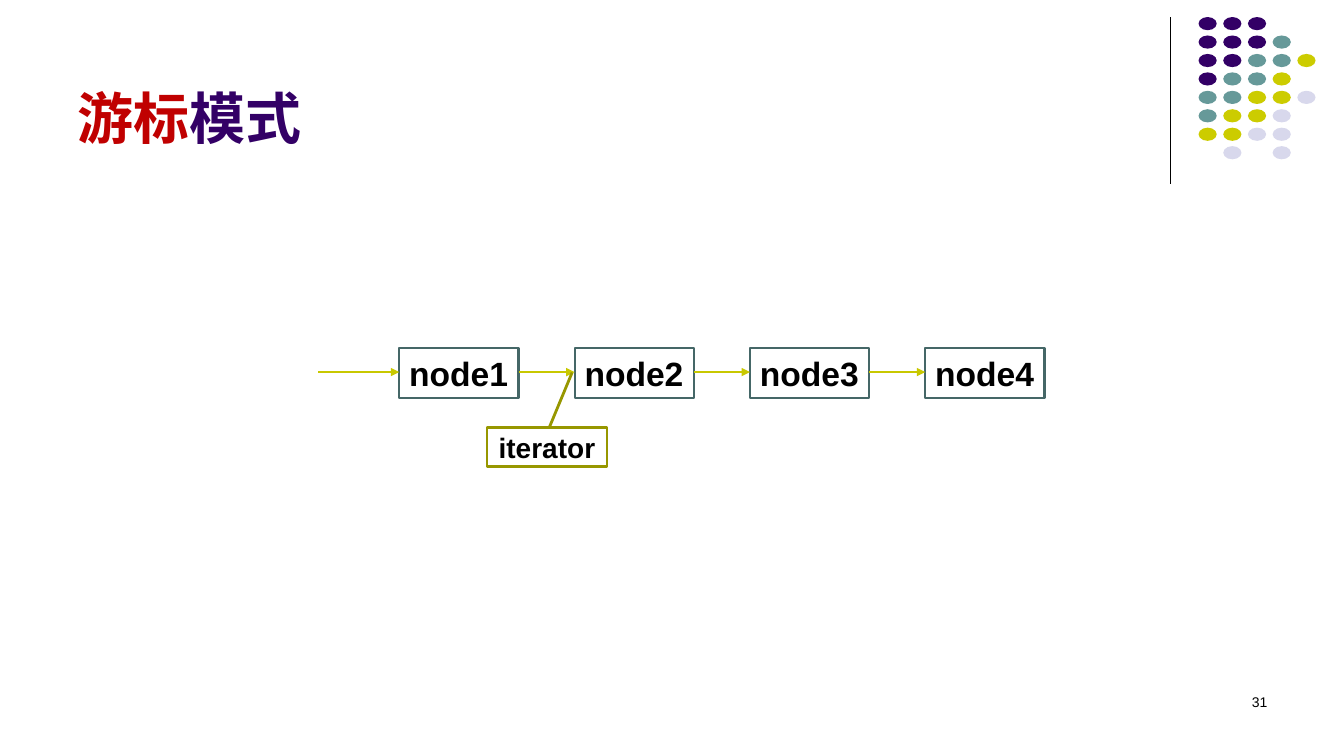
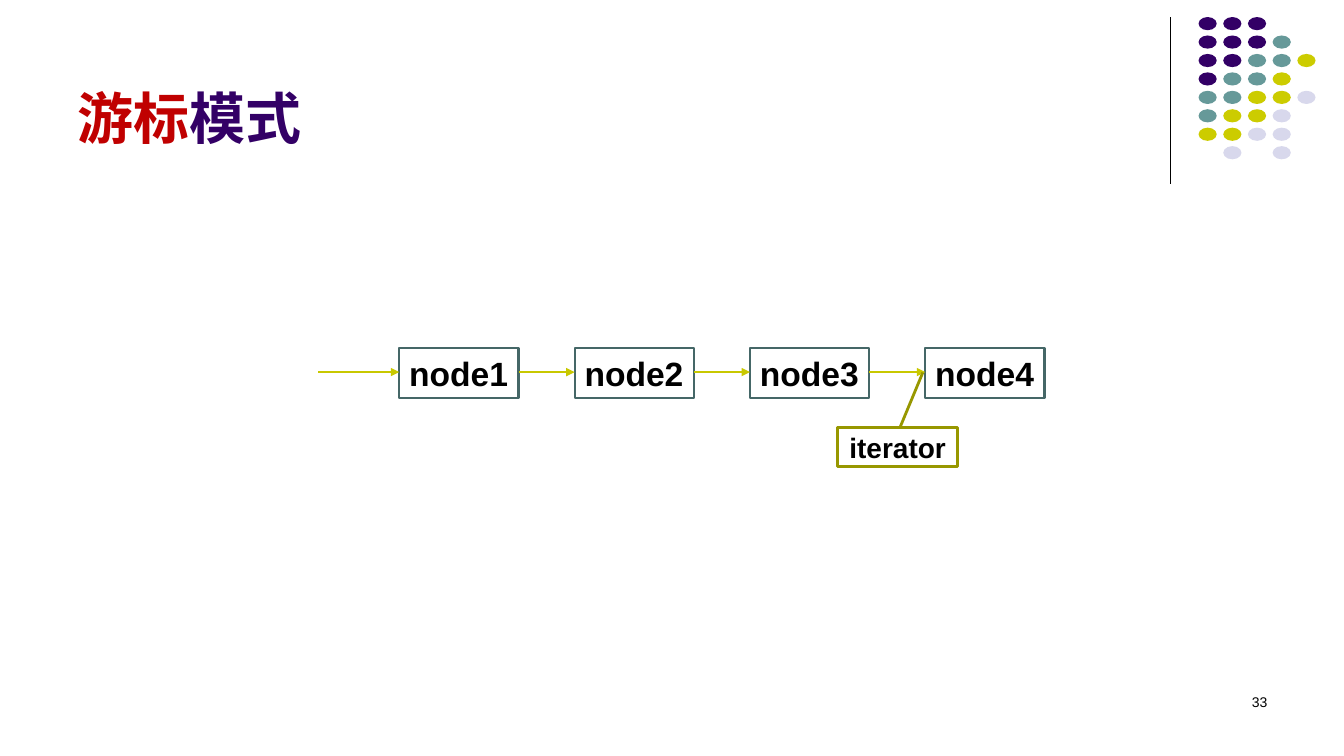
import pptx
import pptx.util
import pptx.dml.color
import pptx.enum.shapes
import pptx.enum.text
import pptx.oxml
import pptx.oxml.ns

Pt = pptx.util.Pt
SHAPE = pptx.enum.shapes.MSO_SHAPE
STRAIGHT = pptx.enum.shapes.MSO_CONNECTOR.STRAIGHT
ANCHOR = pptx.enum.text.MSO_ANCHOR
ALIGN = pptx.enum.text.PP_ALIGN

HEX = {"purple": "330066", "teal": "669999", "lime": "CCCC00", "lilac": "D8D8EC",
       "red": "C00000", "black": "000000", "node": "456767", "arrow": "C8C800",
       "callout": "979700"}
COLOR = {name: pptx.dml.color.RGBColor.from_string(h) for name, h in HEX.items()}

DOT_COLORS = {"P": "purple", "T": "teal", "L": "lime", "W": "lilac"}
DOT_ROWS = ["PPP", "PPPT", "PPTTL", "PTTL", "TTLLW", "TLLW", "LLWW", " W W"]

NODES = ["node1", "node2", "node3", "node4"]
NODE_LEFT, NODE_TOP, NODE_W, NODE_H = 285.2, 248.4, 85.2, 36
NODE_PITCH = 125.25
ARROW_Y = 265.8
CALLOUT_OFFSET = -62.6

# Page number and index of the node the iterator points at
PAGES = [("31", 1), ("33", 3)]


def add_line(shapes, x1, y1, x2, y2, color, width, arrow=False):
    c = shapes.add_connector(STRAIGHT, Pt(x1), Pt(y1), Pt(x2), Pt(y2))
    c.line.color.rgb = COLOR[color]
    c.line.width = Pt(width)
    spPr = c.element.spPr
    if arrow:
        spPr.get_or_add_ln().append(pptx.oxml.parse_xml(
            f'<a:tailEnd {pptx.oxml.ns.nsdecls("a")} type="triangle"/>'))
    spPr.append(pptx.oxml.parse_xml(f'<a:effectLst {pptx.oxml.ns.nsdecls("a")}/>'))


def add_box(s, kind, x, y, w, h, text, size, color, width):
    """Add an unfilled outlined shape with bold black text."""
    sp = s.shapes.add_shape(kind, Pt(x), Pt(y), Pt(w), Pt(h))
    sp.shadow.inherit = False
    sp.fill.background()
    sp.line.color.rgb = COLOR[color]
    sp.line.width = Pt(width)
    sp.text_frame.text = text
    font = sp.text_frame.paragraphs[0].runs[0].font
    font.name, font.size, font.bold = "Arial", Pt(size), True
    font.color.rgb = COLOR["black"]
    return sp


prs = pptx.Presentation()
prs.slide_width, prs.slide_height = Pt(960), Pt(540)

# Shared title position
layout = prs.slide_layouts[5]
title = layout.placeholders[0]
title.left, title.top, title.width, title.height = Pt(48.2), Pt(9.4), Pt(792), Pt(102.2)
title.text_frame.vertical_anchor = ANCHOR.BOTTOM

slides = [prs.slides.add_slide(layout) for page in PAGES]

# Corner decoration: drawn as one group, then moved to the master
corner = slides[0].shapes.add_group_shape()
add_line(corner.shapes, 835.9, 12.2, 835.9, 131.8, "black", 0.75)
for row, codes in enumerate(DOT_ROWS):
    for col, code in enumerate(codes):
        if code == " ":
            continue
        dot = corner.shapes.add_shape(
            SHAPE.OVAL, Pt(856.1 + col * 17.64), Pt(12.2 + row * 13.17), Pt(13), Pt(9.4))
        dot.shadow.inherit = False
        dot.fill.solid()
        dot.fill.fore_color.rgb = COLOR[DOT_COLORS[code]]
        dot.line.fill.background()
prs.slide_master.shapes.element.append(corner.element)

for s, (number, target) in zip(slides, PAGES):
    p = s.shapes.title.text_frame.paragraphs[0]
    p.alignment = ALIGN.LEFT
    for text, color in [("游标", "red"), ("模式", "purple")]:
        r = p.add_run()
        r.text = text
        r.font.name, r.font.size, r.font.bold = "Arial", Pt(40), True
        r.font.color.rgb = COLOR[color]

    tf = s.shapes.add_textbox(Pt(688.3), Pt(491.8), Pt(224), Pt(36)).text_frame
    tf.word_wrap = True
    tf.text = number
    p = tf.paragraphs[0]
    p.alignment = ALIGN.RIGHT
    r = p.runs[0]
    r.font.name, r.font.size = "Arial", Pt(10)
    r.font.color.rgb = COLOR["black"]

    arrow_start = 227.5
    for i, name in enumerate(NODES):
        x = NODE_LEFT + i * NODE_PITCH
        sp = add_box(s, SHAPE.RECTANGLE, x, NODE_TOP, NODE_W, NODE_H, name, 24, "node", 1.5)
        tf = sp.text_frame
        tf.word_wrap = False
        tf.auto_size = pptx.enum.text.MSO_AUTO_SIZE.SHAPE_TO_FIT_TEXT
        tf.vertical_anchor = ANCHOR.TOP
        tf.paragraphs[0].alignment = ALIGN.LEFT
        add_line(s.shapes, arrow_start, ARROW_Y, x, ARROW_Y, "arrow", 2, arrow=True)
        arrow_start = x + NODE_W

    callout_left = NODE_LEFT + target * NODE_PITCH + CALLOUT_OFFSET
    sp = add_box(s, SHAPE.LINE_CALLOUT_1, callout_left, 305.3, 85.7, 28.2,
                 "iterator", 20, "callout", 2)
    for i, value in enumerate([0, 0.52, -1.39, 0.71]):
        sp.adjustments[i] = value
    sp.text_frame.vertical_anchor = ANCHOR.MIDDLE
    sp.text_frame.paragraphs[0].alignment = ALIGN.CENTER

prs.save("out.pptx")
